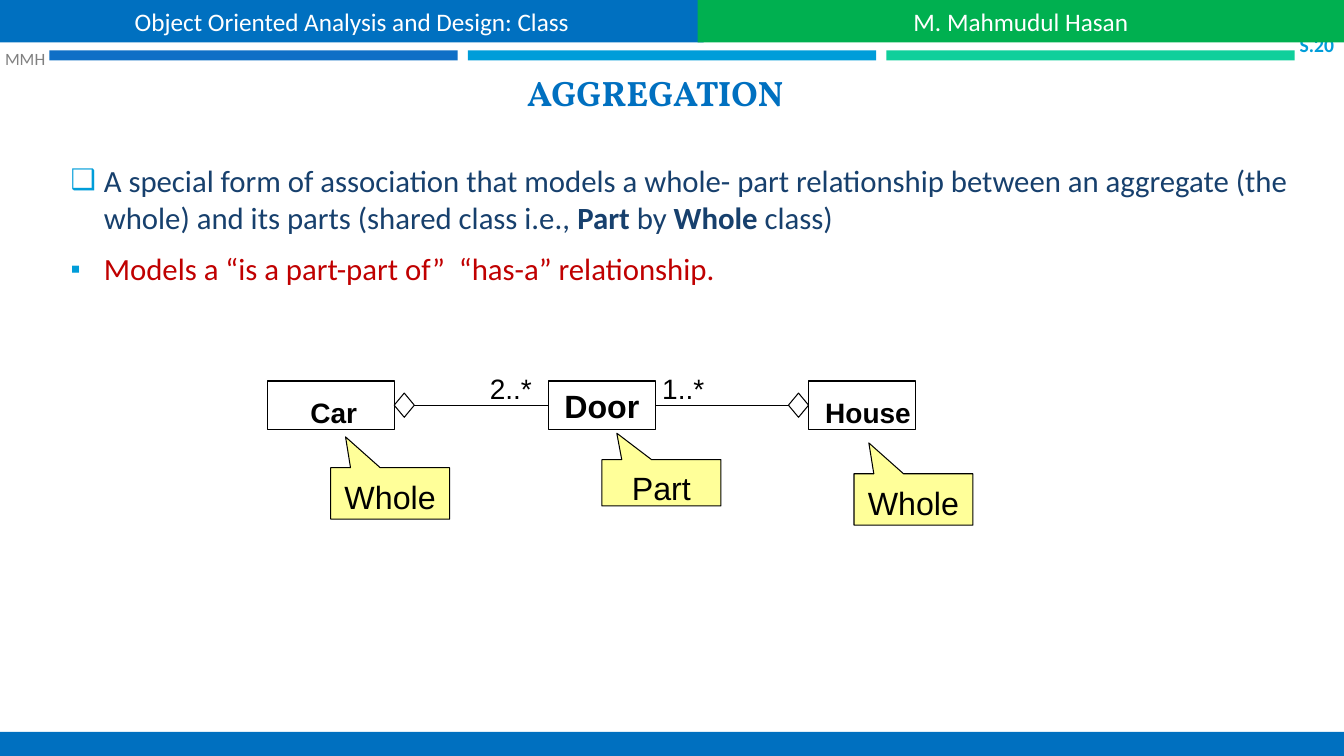
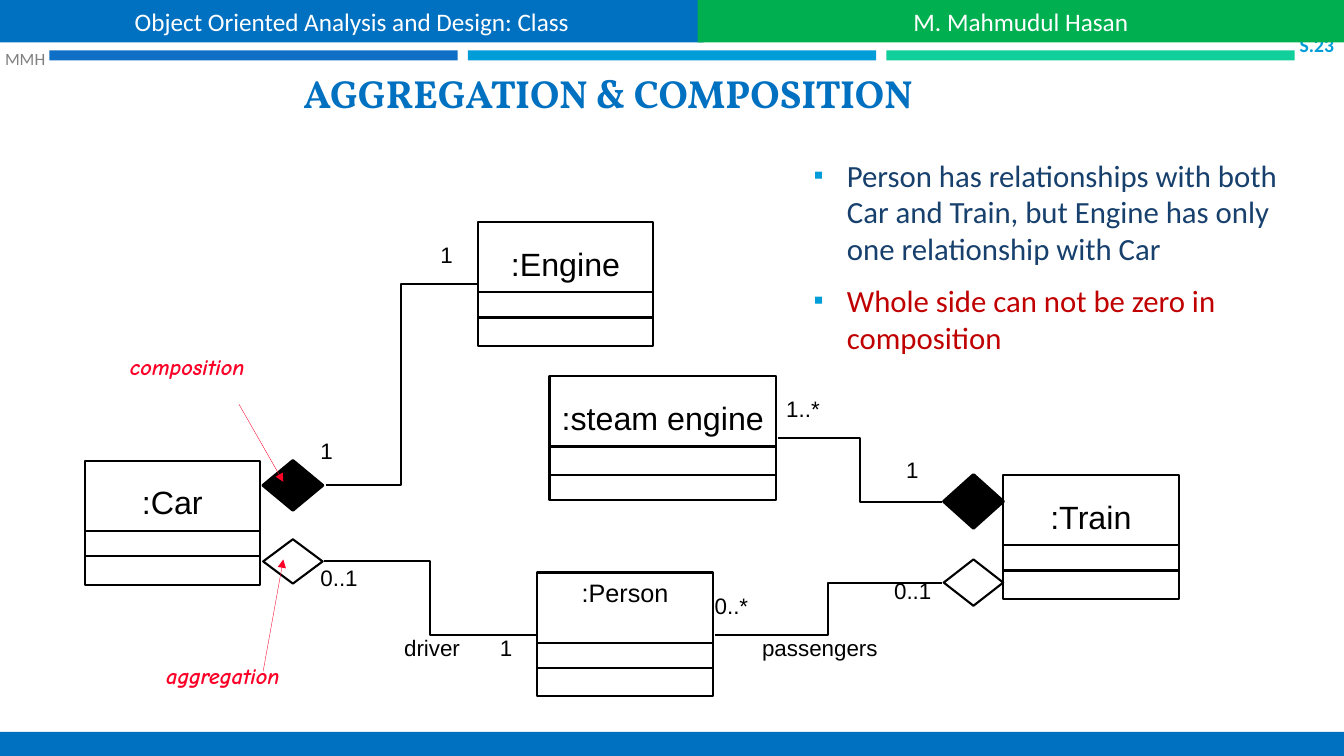
from lxml import etree
from pptx import Presentation
from pptx.dml.color import RGBColor
from pptx.enum.shapes import MSO_CONNECTOR, MSO_SHAPE
from pptx.enum.text import MSO_ANCHOR, MSO_AUTO_SIZE, PP_ALIGN
from pptx.oxml.ns import qn
from pptx.util import Inches, Pt

RECT, DIAMOND = MSO_SHAPE.RECTANGLE, MSO_SHAPE.DIAMOND
CALLOUT = MSO_SHAPE.RECTANGULAR_CALLOUT
LINE, ELBOW = MSO_CONNECTOR.STRAIGHT, MSO_CONNECTOR.ELBOW
LEFT, MID, RIGHT = PP_ALIGN.LEFT, PP_ALIGN.CENTER, PP_ALIGN.RIGHT
TOP, CENTER, BOTTOM = MSO_ANCHOR.TOP, MSO_ANCHOR.MIDDLE, MSO_ANCHOR.BOTTOM

COLORS = {
    "blue": "0070C0", "green": "00B050", "royal": "0F6FC6", "sky": "009DD9",
    "mint": "10CF9B", "navy": "17406D", "red": "C00000", "pink": "FC0128",
    "gray": "808080", "yellow": "FFFF99", "black": "000000", "white": "FFFFFF",
}
BODY, DRAW, HAND, HEAD = "Calibri", "Arial", "Comic Neue", "Vollkorn"
INSETS = (0.1, 0.05, 0.1, 0.05)

# Shared parts
COURSE = "Object Oriented Analysis and Design: Class"
AUTHOR = "M. Mahmudul Hasan"
STRIPES = ["royal", "sky", "mint"]
BANDS = [
    (0, 0, 6.98, 0.42, "blue", COURSE),
    (6.92, 0, 6.41, 0.42, "green", AUTHOR),
    (0, 7.26, 13.33, 0.24, "blue", ""),
]

# Slide content: bullets are (sign, color, [(text, bold)])
PARTS = {
    "title": "AGGREGATION", "size": 25.2, "number": "S.20",
    "head": (0.47, 0.62, 12.06, 0.56), "body": (0.6, 1.55, 12.28, 1.5),
    "bullets": [
        ("❑", "navy", [
            ("A special form of association that models a whole- part relationship "
             "between an aggregate (the whole) and its parts (shared class i.e., ", False),
            ("Part ", True), ("by ", False), ("Whole", True), (" class)", False)]),
        ("▪", "red", [("Models a “is a part-part of”  “has-a” relationship.", False)]),
    ],
}
WHOLES = {
    "title": "AGGREGATION & COMPOSITION", "size": 28, "number": "S.23",
    "head": (0, 0.61, 12.06, 0.59), "body": (7.97, 1.5, 4.83, 2.1),
    "bullets": [
        ("▪", "navy", [("Person has relationships with both Car and Train, "
                        "but Engine has only one relationship with Car", False)]),
        ("▪", "red", [("Whole side can not be zero in composition", False)]),
    ],
}

# Door diagram: name, left, width, size, insets
DOORS = [
    ("Car", 2.65, 1.26, 20, (0.06, 0.14, 0, 0)),
    ("Door", 5.44, 1.06, 23, INSETS),
    ("House", 8.02, 1.06, 20, (0.16, 0.14, 0.04, 0)),
]
NOTES = [
    ("Whole", 3.28, 4.64, 0.51, -1.1),
    ("Part", 5.97, 4.56, 0.46, -1.07),
    ("Whole", 8.47, 4.7, 0.51, -1.1),
]
COUNTS = [("1..*", 6.47, 3.64), ("2..*", 4.76, 3.64)]

# Object diagram: name, left, top, width, band height, size, inset above name
OBJECTS = [
    (":Engine", 4.74, 2.2, 1.74, 0.25, 23, 0.22),
    (":Person", 5.33, 5.68, 1.74, 0.25, 18, 0.05),
    (":Car", 0.84, 4.57, 1.74, 0.25, 23, 0.22),
    (":Train", 9.95, 4.71, 1.74, 0.25, 23, 0.22),
    (":steam engine", 5.45, 3.73, 2.25, 0.28, 23, 0.22),
]
ELBOWS = [
    (3.21, 5.57, 5.32, 6.3), (3.23, 4.81, 4.73, 2.82),
    (7.72, 4.35, 9.34, 4.98), (7.09, 6.3, 9.34, 5.78),
]
DIAMONDS = [
    (2.61, 4.57, 0.49, "black", 2.25), (2.61, 5.35, 0.44, "white", 1.5),
    (9.36, 4.71, 0.53, "black", 2.25), (9.36, 5.55, 0.46, "white", 1.5),
]
LABELS = [
    ("1", 3.08, 4.29), ("0..1", 3.08, 5.55), ("0..1", 8.77, 5.68),
    ("1..*", 7.7, 3.87), ("passengers", 7.46, 6.24), ("driver", 3.91, 6.24),
    ("1", 4.86, 6.24), ("1", 4.27, 2.34), ("1", 8.89, 4.48), ("0..*", 6.99, 5.82),
]
HINTS = [
    ("composition", 1.19, 3.45, (2.37, 4.01, 2.81, 4.78)),
    ("aggregation", 1.55, 6.52, (2.61, 6.66, 2.81, 5.55)),
]


def rgb(name):
    return RGBColor.from_string(COLORS[name])


def add_run(para, text, size, font, color, bold=False, italic=False):
    run = para.add_run()
    run.text = text
    face = run.font
    face.size, face.name, face.bold, face.italic = Pt(size), font, bold, italic
    face.color.rgb = rgb(color)


def frame(shape, anchor=CENTER, wrap=True, insets=INSETS):
    box = shape.text_frame
    box.auto_size = MSO_AUTO_SIZE.NONE
    box.word_wrap, box.vertical_anchor = wrap, anchor
    box.margin_left, box.margin_top, box.margin_right, box.margin_bottom = map(Inches, insets)
    return box


def write(shape, text, size, font=DRAW, color="black", align=MID, anchor=CENTER,
          wrap=False, insets=INSETS, bold=False, italic=False):
    para = frame(shape, anchor, wrap, insets).paragraphs[0]
    para.alignment = align
    add_run(para, text, size, font, color, bold, italic)


def add_box(slide, kind, at, fill=None, line=None):
    shape = slide.shapes.add_shape(kind, *map(Inches, at))
    shape.shadow.inherit = False
    if fill:
        shape.fill.solid()
        shape.fill.fore_color.rgb = rgb(fill)
    else:
        shape.fill.background()
    if line:
        shape.line.color.rgb = rgb("black")
        shape.line.width = Pt(line)
    else:
        shape.line.fill.background()
    return shape


def add_label(slide, text, at, size, **style):
    write(slide.shapes.add_textbox(*map(Inches, at)), text, size, **style)


def add_line(slide, kind, ends, width, color="black", arrow=False):
    line = slide.shapes.add_connector(kind, *map(Inches, ends))
    line.line.color.rgb = rgb(color)
    line.line.width = Pt(width)
    if arrow:
        etree.SubElement(line.line._get_or_add_ln(), qn("a:tailEnd"), type="triangle")
    etree.SubElement(line._element.spPr, qn("a:effectLst"))


def place(shape, at):
    shape.left, shape.top, shape.width, shape.height = map(Inches, at)


def add_bullet(para, sign):
    props = para._p.get_or_add_pPr()
    props.set("marL", str(Inches(0.33)))
    props.set("indent", str(-Inches(0.33)))
    tint = etree.SubElement(props, qn("a:buClr"))
    etree.SubElement(tint, qn("a:srgbClr"), val=COLORS["sky"])
    etree.SubElement(props, qn("a:buSzPct"), val="92000")
    etree.SubElement(props, qn("a:buChar"), char=sign)


def start_slide(deck, data):
    slide = deck.slides.add_slide(deck.slide_layouts[1])
    title, body = slide.placeholders
    place(title, data["head"])
    write(title, data["title"], data["size"], HEAD, "blue", anchor=BOTTOM,
          wrap=True, bold=True)

    # Bullet list
    place(body, data["body"])
    text = frame(body, TOP)
    for i, (sign, color, runs) in enumerate(data["bullets"]):
        para = text.add_paragraph() if i else text.paragraphs[0]
        add_bullet(para, sign)
        para.space_before, para.space_after = Pt(4.4 if i else 0), Pt(6)
        for words, bold in runs:
            add_run(para, words, 22, BODY, color, bold)

    # Stripes, marks and bands
    for i, color in enumerate(STRIPES):
        add_box(slide, RECT, (0.49 + 4.15 * i, 0.5, 4.05, 0.1), color)
    add_label(slide, data["number"], (12.8, 0.34, 0.53, 0.21), 14, font=BODY,
              color="sky", align=RIGHT, wrap=True, bold=True, insets=(0, 0, 0.1, 0))
    add_label(slide, "MMH", (0, 0.43, 0.6, 0.3), 12.3, font=BODY, color="gray",
              align=LEFT, insets=(0.05, 0.05, 0, 0.05))
    for *at, color, words in BANDS:
        band = add_box(slide, RECT, at, color)
        if words:
            write(band, words, 18, BODY, "white")
    return slide


def draw_doors(slide):
    for name, left, width, size, insets in DOORS:
        box = add_box(slide, RECT, (left, 3.78, width, 0.48), line=0.75)
        write(box, name, size, insets=insets, bold=True)
    for start, end, tip in [(4.11, 5.44, 3.91), (6.5, 7.82, 7.82)]:
        add_line(slide, LINE, (start, 4.02, end, 4.02), 0.75)
        add_box(slide, DIAMOND, (tip, 3.9, 0.2, 0.24), line=0.75)
    for text, left, top in COUNTS:
        add_label(slide, text, (left, top, 0.8, 0.44), 20, align=LEFT, anchor=TOP)
    for text, left, top, height, tip in NOTES:
        note = add_box(slide, CALLOUT, (left, top, 1.18, height), "yellow", 0.75)
        note.adjustments[0], note.adjustments[1] = -0.375, tip
        write(note, text, 23, anchor=TOP, insets=(0.12, 0.09, 0.12, 0))


def draw_objects(slide):
    for name, left, top, width, band, size, inset in OBJECTS:
        box = add_box(slide, RECT, (left, top, width, 1.23), line=1.5)
        write(box, name, size, anchor=TOP, insets=(0.1, inset, 0.1, 0))
        add_box(slide, RECT, (left, top + 0.7, width, band), line=1.5)
    for ends in ELBOWS:
        add_line(slide, ELBOW, ends, 1.5)
    for left, top, height, fill, line in DIAMONDS:
        add_box(slide, DIAMOND, (left, top, 0.59, height), fill, line)
    for text, left, top in LABELS:
        width = 0.22 + 0.12 * len(text)
        add_label(slide, text, (left, top, width, 0.35), 16, align=LEFT, anchor=TOP)
    for text, left, top, ends in HINTS:
        add_label(slide, text, (left, top, 1.42, 0.35), 16, font=HAND, color="pink",
                  align=LEFT, anchor=TOP, bold=True, italic=True)
        add_line(slide, LINE, ends, 0.25, "pink", arrow=True)


def main():
    deck = Presentation()
    deck.slide_width, deck.slide_height = Inches(13.33), Inches(7.5)
    draw_doors(start_slide(deck, PARTS))
    draw_objects(start_slide(deck, WHOLES))
    deck.save("out.pptx")


if __name__ == "__main__":
    main()
